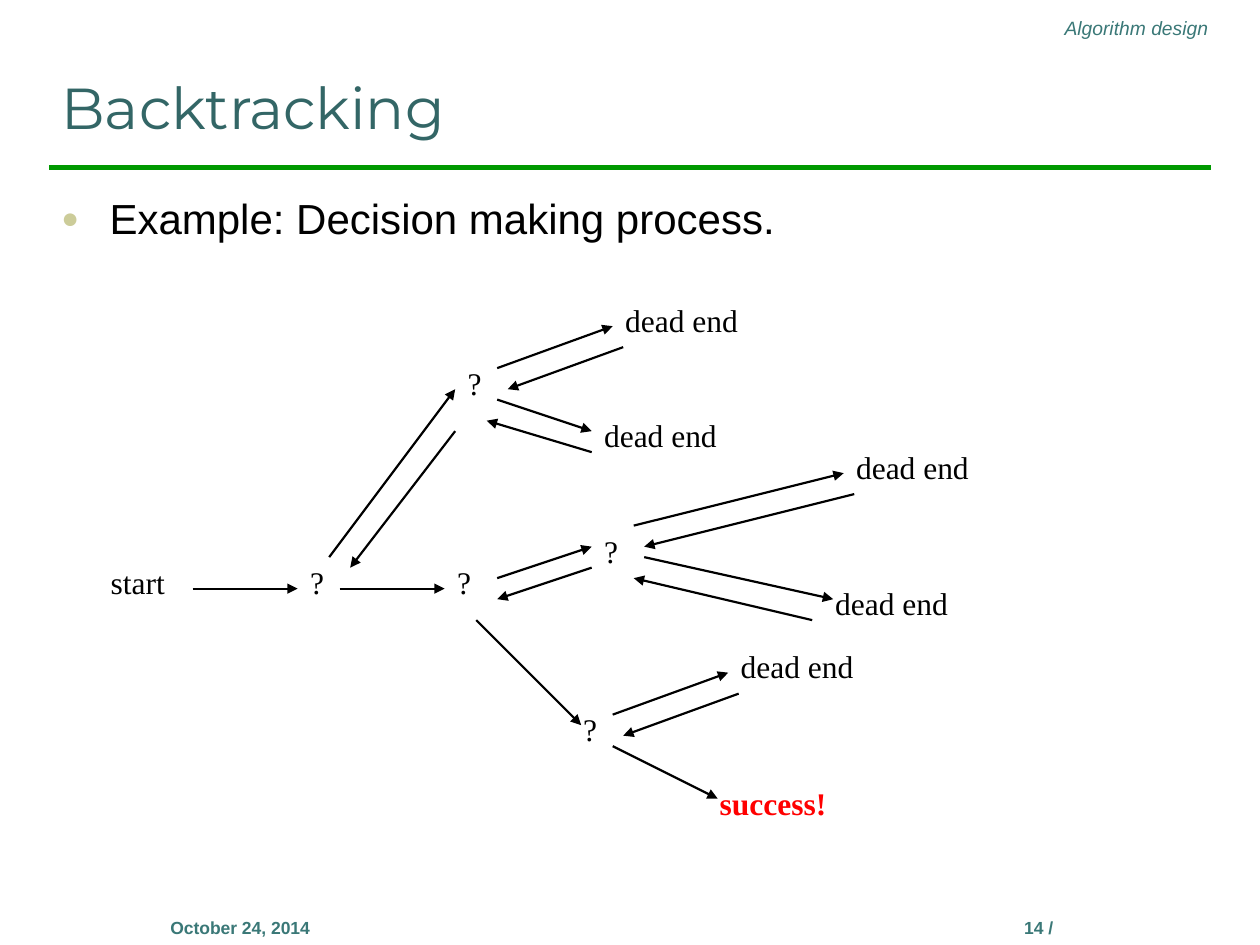
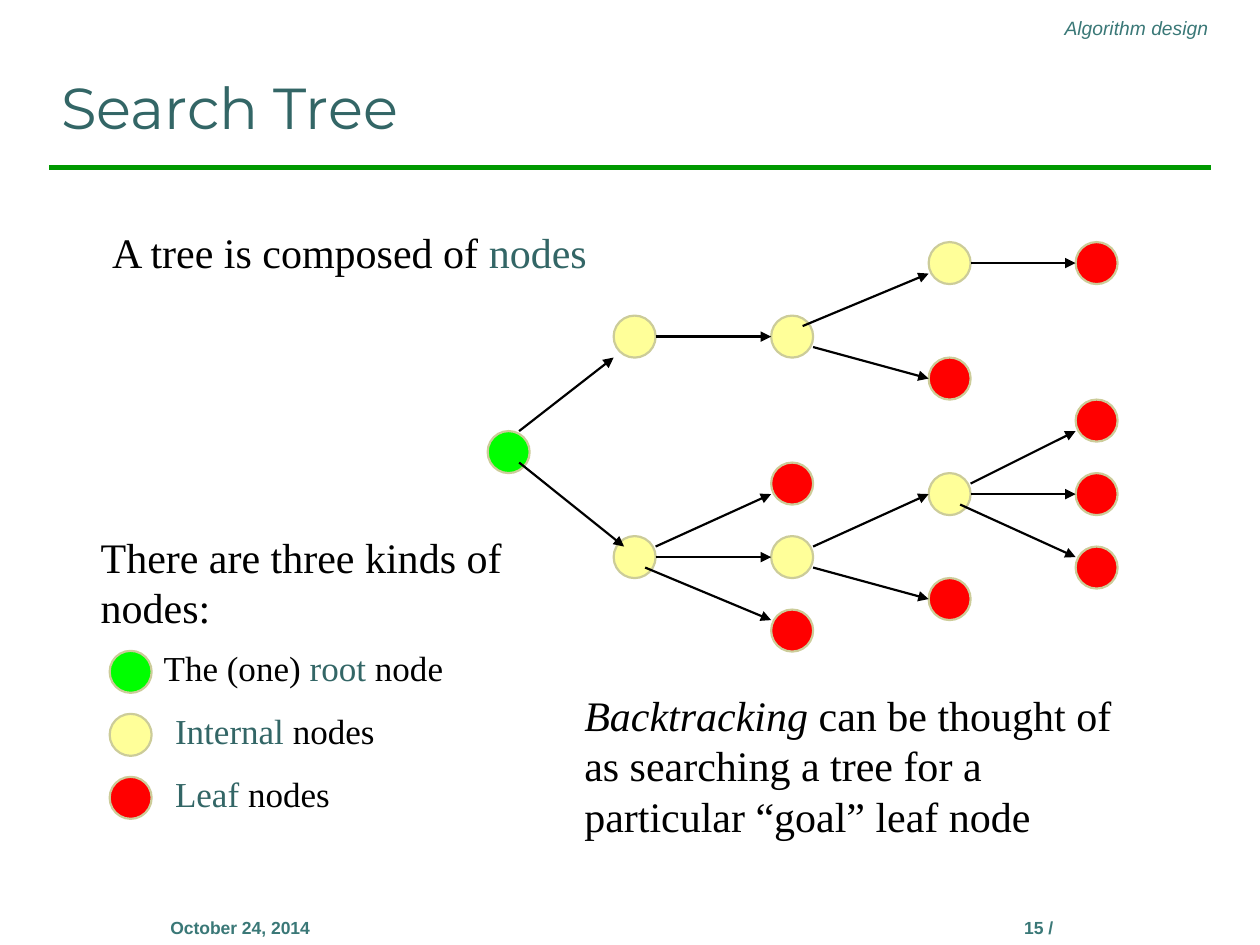
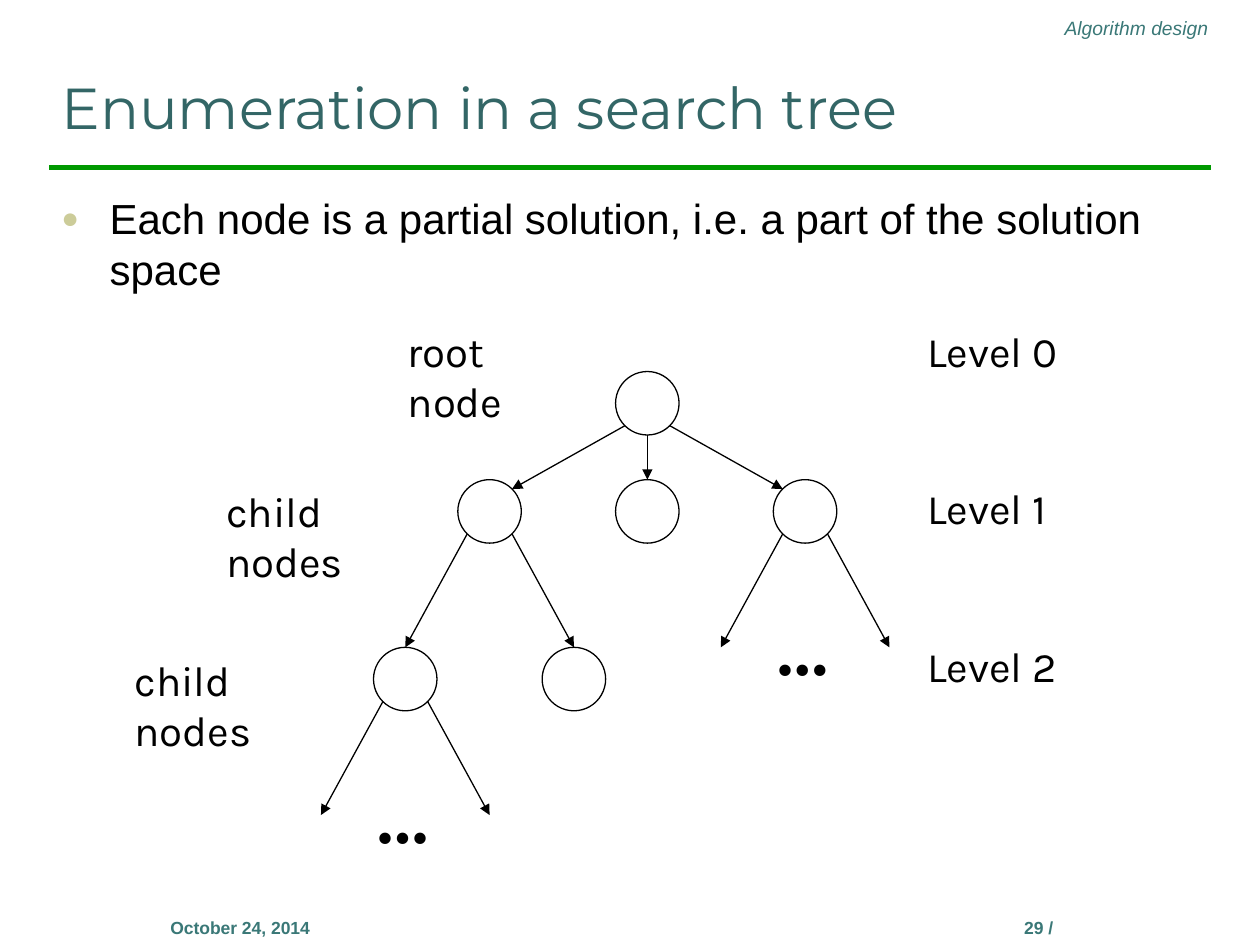
from typing import NamedTuple

from lxml import etree
from pptx import Presentation, util as u
from pptx.dml.color import RGBColor
from pptx.enum import shapes, text
from pptx.oxml import ns

GREEN = RGBColor(0x00, 0x99, 0x00)
TEAL = RGBColor(0x33, 0x66, 0x66)
FOOTER_TEAL = RGBColor(0x3A, 0x78, 0x77)
SAND = RGBColor(0xCC, 0xCC, 0x99)
BLACK = RGBColor(0x00, 0x00, 0x00)
RED = RGBColor(0xFF, 0x00, 0x00)
ROOT = RGBColor(0x00, 0xFF, 0x00)
INTERNAL = RGBColor(0xFF, 0xFF, 0x99)
LEAF = RED

SANS, SERIF, TITLE, LABEL = "Arial", "Times New Roman", "Montserrat", "Karla"
CELL = 2.54 / 12
NODE = 4 * CELL


class Box(NamedTuple):
    """A rectangle in centimetres."""
    left: float
    top: float
    width: float
    height: float

    def inner(self, x, y, width, height):
        return Box(self.left + x, self.top + y, width, height)

    def point(self, x, y):
        return self.left + x, self.top + y

    def cell(self, column, row):
        return self.point(column * CELL, row * CELL)

    def lengths(self):
        return [u.Cm(value) for value in self]


HEADER_BOX = Box(10.72, 0.2, 13.89, 0.74)
TITLE_BOX = Box(0.99, 0.58, 23.42, 2.39)
BODY_BOX = Box(0.99, 3.76, 23.42, 14.48)
DATE_BOX = Box(1.98, 18.36, 5.72, 1.27)
NUMBER_BOX = Box(18.08, 18.36, 5.72, 1.27)
RULE_Y = 3.38


def add_mark(parent, tag, **attributes):
    return etree.SubElement(parent, ns.qn(tag), attributes)


def add_text(page, box, spans, size=18, font=SERIF, color=BLACK, bold=False,
             italic=False, align=text.PP_ALIGN.LEFT, anchor=text.MSO_ANCHOR.TOP,
             wrap=True, inset=None, bullet=False):
    """Write a string, or a list of (words, changed format) spans."""
    frame = page.shapes.add_textbox(*box.lengths()).text_frame
    frame.word_wrap = wrap
    frame.vertical_anchor = anchor
    if inset is not None:
        frame.margin_left = frame.margin_right = u.Cm(inset)
        frame.margin_top = frame.margin_bottom = u.Cm(inset)
    para = frame.paragraphs[0]
    para.alignment = align
    if bullet:
        add_bullet(para)
    for words, change in [(spans, {})] if isinstance(spans, str) else spans:
        span = para.add_run()
        span.text = words
        span.font.name = font
        span.font.size = u.Pt(size)
        span.font.bold = bold
        span.font.italic = change.get("italic", italic)
        span.font.color.rgb = change.get("color", color)


def add_bullet(para):
    properties = para._p.get_or_add_pPr()
    indent = u.Cm(0.97)
    properties.set("marL", str(indent))
    properties.set("indent", str(-indent))
    add_mark(add_mark(properties, "a:buClr"), "a:srgbClr", val=str(SAND))
    add_mark(properties, "a:buSzPct", val="70000")
    add_mark(properties, "a:buFont", typeface=SANS)
    add_mark(properties, "a:buChar", char="●")


def add_line(page, start, end, color=BLACK, width=1.25, arrow=True):
    ends = [u.Cm(value) for value in (*start, *end)]
    line = page.shapes.add_connector(shapes.MSO_CONNECTOR.STRAIGHT, *ends)
    line.line.color.rgb = color
    line.line.width = u.Pt(width)
    if arrow:
        add_mark(line.line._get_or_add_ln(), "a:tailEnd", type="triangle")
    add_mark(line._element.spPr, "a:effectLst")


def add_node(page, box, fill=None, line=SAND, width=1.25,
             kind=shapes.MSO_SHAPE.OVAL):
    node = page.shapes.add_shape(kind, *box.lengths())
    node.shadow.inherit = False
    if fill is None:
        node.fill.background()
    else:
        node.fill.solid()
        node.fill.fore_color.rgb = fill
    node.line.color.rgb = line
    node.line.width = u.Pt(width)


def add_page(deck, title, number):
    """Start a slide with its header, title, rule and footers."""
    page = deck.slides.add_slide(deck.slide_layouts[6])
    add_line(page, (0.99, RULE_Y), (24.41, RULE_Y), GREEN, 3, arrow=False)
    add_text(page, HEADER_BOX, "Algorithm design", size=11, font=SANS,
             color=FOOTER_TEAL, italic=True, align=text.PP_ALIGN.RIGHT)
    for box, words in ((NUMBER_BOX, f"{number} /"), (DATE_BOX, "October 24, 2014")):
        add_text(page, box, words, size=10, font=SANS, color=FOOTER_TEAL,
                 bold=True, align=text.PP_ALIGN.CENTER)
    add_text(page, TITLE_BOX, title, size=33, font=TITLE, color=TEAL,
             anchor=text.MSO_ANCHOR.BOTTOM)
    return page


def add_body(page, words):
    add_text(page, BODY_BOX, words, size=24, font=SANS, bullet=True)


def draw_arrows(page, box, arrows):
    """Draw arrows given as column, row, column, row in grid cells."""
    for x1, y1, x2, y2 in arrows:
        add_line(page, box.cell(x1, y1), box.cell(x2, y2))


def draw_decisions(page, box):
    places = {
        "start": [(0, 25)],
        "?": [(19, 25), (34, 6), (33, 25), (47, 22), (45, 39)],
        "dead end": [(49, 0), (47, 11), (71, 14), (69, 27), (60, 33)],
        "success!": [(58, 46)],
    }
    widths = {"start": 10, "?": 6}
    forward = [
        (9, 28, 19, 28), (23, 28, 33, 28), (22, 25, 34, 9), (38, 7, 49, 3),
        (38, 10, 47, 13), (38, 27, 47, 24), (51, 22, 71, 17), (52, 25, 70, 29),
        (36, 31, 46, 41), (49, 40, 60, 36), (49, 43, 59, 48),
    ]
    backward = [
        (50, 5, 39, 9), (47, 15, 37, 12), (34, 13, 24, 26), (72, 19, 52, 24),
        (68, 31, 51, 27), (47, 26, 38, 29), (61, 38, 50, 42),
    ]
    for words, cells in places.items():
        success = words == "success!"
        for cell in cells:
            label = Box(*box.cell(*cell), widths.get(words, 21) * CELL, 6 * CELL)
            add_text(page, label, words, bold=success,
                     color=RED if success else BLACK)
    draw_arrows(page, box, forward + backward)


def draw_search_tree(page, box):
    nodes = {
        ROOT: [(0, 18)],
        INTERNAL: [(12, 7), (27, 7), (42, 0), (12, 28), (27, 28), (42, 22)],
        LEAF: [(27, 21), (27, 35), (42, 11), (42, 32),
               (56, 0), (56, 15), (56, 22), (56, 29)],
    }
    arrows = [
        (3, 18, 12, 11), (3, 21, 13, 29),
        (16, 9, 27, 9), (30, 8, 42, 3), (31, 10, 42, 13), (46, 2, 56, 2),
        (16, 29, 27, 24), (16, 30, 27, 30), (15, 31, 27, 36),
        (31, 29, 42, 24), (31, 31, 42, 34),
        (46, 23, 56, 18), (46, 24, 56, 24), (45, 25, 56, 30),
    ]
    for fill, cells in nodes.items():
        for cell in cells:
            add_node(page, Box(*box.cell(*cell), NODE, NODE), fill)
    draw_arrows(page, box, arrows)


def draw_legend(page, box):
    teal = {"color": TEAL}
    entries = [
        (ROOT, 0.84, [("The (one) ", {}), ("root", teal), (" node", {})]),
        (INTERNAL, 1.07, [("Internal ", teal), ("nodes", {})]),
        (LEAF, 1.07, [("Leaf", teal), (" nodes", {})]),
    ]
    for row, (fill, indent, spans) in enumerate(entries):
        top = row * 1.27
        add_node(page, box.inner(0, top + 0.22, NODE, NODE), fill)
        add_text(page, box.inner(indent, top, box.width - indent, 1.12),
                 spans, size=20)


def draw_levels(page, box):
    """Draw the tree with its level and node labels."""
    corner, spread, drop = 0.45, 1.7, 3.38
    radius, child_gap, child_drop = 0.64, 3.18, 2.18
    root_x, root_y = 10.59, 1.7
    child_y = root_y + child_drop
    left, middle, right = (root_x + step * child_gap for step in (-1, 0, 1))
    grandchildren = [(left + side * spread, child_y + drop) for side in (-1, 1)]

    for x, y in [(root_x, root_y), *((x, child_y) for x in (left, middle, right)),
                 *grandchildren]:
        add_node(page, box.inner(x - radius, y - radius, 2 * radius, 2 * radius),
                 line=BLACK, width=0.75,
                 kind=shapes.MSO_SHAPE.FLOWCHART_CONNECTOR)

    def edge(x1, y1, x2, y2):
        add_line(page, box.point(x1, y1), box.point(x2, y2), width=0.75)

    edge(root_x, root_y + radius, middle, child_y - radius)
    for side in (-1, 1):
        edge(root_x + side * corner, root_y + corner,
             root_x + side * (child_gap - corner), child_y - corner)
        for x, y in ((left, child_y), (right, child_y), grandchildren[0]):
            edge(x + side * corner, y + corner,
                 x + side * spread, y + drop - radius)

    for x, y in ((right, child_y), grandchildren[0]):
        add_text(page, box.inner(x - 0.58, y + 1.9, 1.07, 1.7), "...", size=40,
                 bold=True, inset=0, wrap=False, anchor=text.MSO_ANCHOR.MIDDLE)
    for words, x, y, width in (("root node", 5.51, 0, 3.8),
                               ("child nodes", 1.85, 3.23, 4.2),
                               ("child nodes", 0, 6.63, 4.2)):
        add_text(page, box.inner(x, y, width, 1.27), words, size=24, font=LABEL)
    for level in range(3):
        add_text(page, box.inner(15.98, level * 3.18, 3.18, 1.27),
                 f"Level {level}", size=24, font=LABEL, wrap=False)


def build_backtracking(deck):
    page = add_page(deck, "Backtracking", 14)
    add_body(page, "Example: Decision making process.")
    draw_decisions(page, Box(1.98, 5.94, 19.5, 11))


def build_search_tree(deck):
    page = add_page(deck, "Search Tree", 15)
    draw_search_tree(page, Box(9.83, 4.88, 12.7, 8.26))
    add_text(page, Box(1.78, 10.59, 8.89, 2.31),
             "There are three kinds of nodes:", size=24)
    add_text(page, Box(2.01, 4.45, 10.59, 1.27),
             [("A tree is composed of ", {}), ("nodes", {"color": TEAL})], size=24)
    draw_legend(page, Box(2.21, 12.9, 11.2, 3.66))
    add_text(page, Box(11.53, 13.77, 11.23, 3.33),
             [("Backtracking", {"italic": True}),
              (" can be thought of as searching a tree for a particular "
               "“goal” leaf node", {})], size=24)


def build_enumeration(deck):
    page = add_page(deck, "Enumeration in a search tree", 29)
    add_body(page, "Each node is a partial solution, i.e. a part of the solution space")
    draw_levels(page, Box(2.46, 6.43, 19.16, 10.85))


def main():
    deck = Presentation()
    deck.slide_width, deck.slide_height = u.Cm(25.4), u.Cm(19.05)
    build_backtracking(deck)
    build_search_tree(deck)
    build_enumeration(deck)
    deck.save("out.pptx")


if __name__ == "__main__":
    main()
